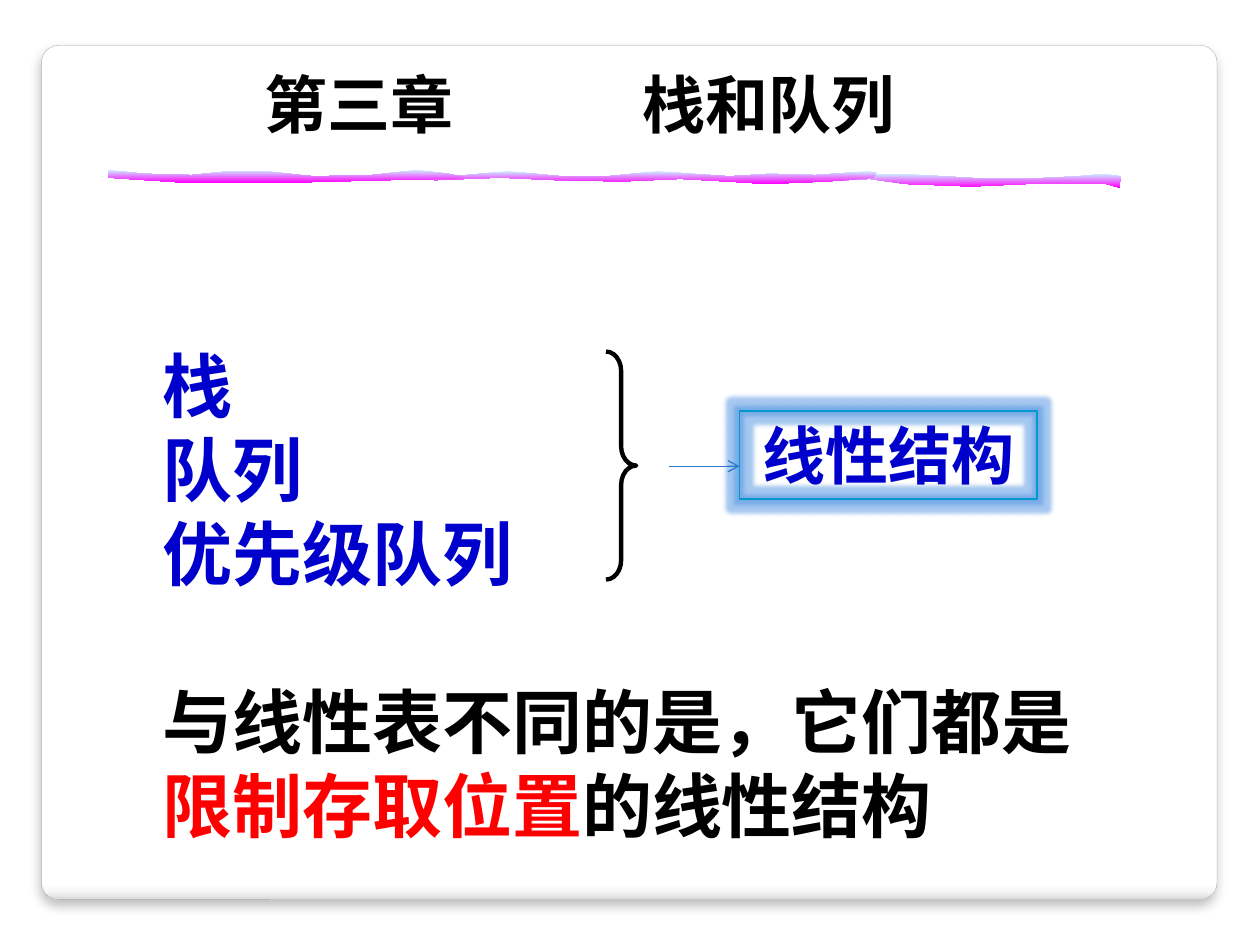
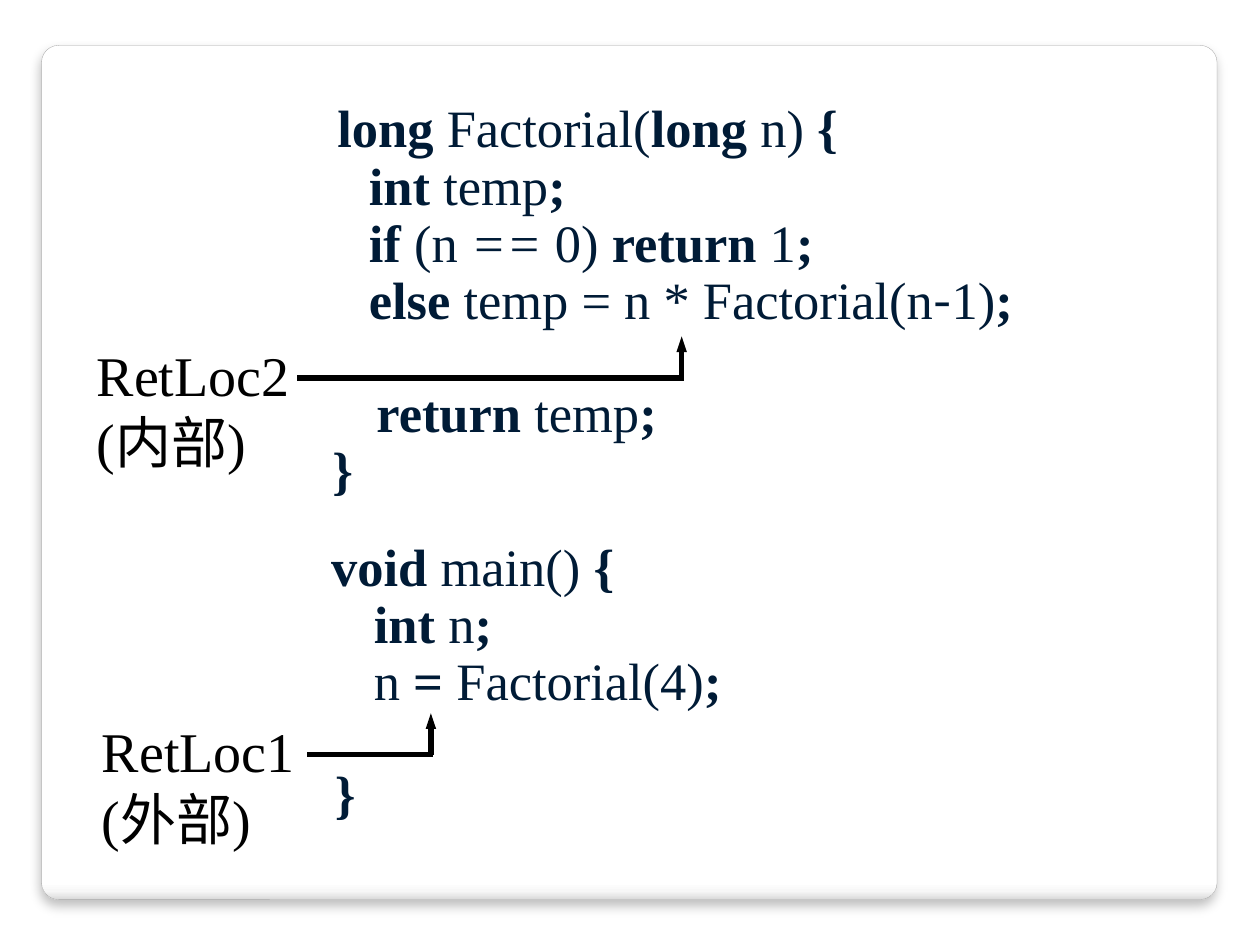
from lxml import etree
from pptx import Presentation
from pptx.dml.color import RGBColor
from pptx.enum.shapes import MSO_CONNECTOR, MSO_SHAPE
from pptx.enum.text import MSO_ANCHOR, MSO_AUTO_SIZE, PP_ALIGN
from pptx.oxml.ns import qn
from pptx.util import Pt

PX = 9144  # 100 px to the inch
STRAIGHT = MSO_CONNECTOR.STRAIGHT
ROUNDED, RECT, BRACE = (MSO_SHAPE.ROUNDED_RECTANGLE, MSO_SHAPE.RECTANGLE,
                        MSO_SHAPE.RIGHT_BRACE)
TITLE_ONLY, BLANK = 5, 6

SERIF = "Times New Roman"
SANS = "DejaVu Sans"
CJK = "Noto Sans CJK SC"

COLORS = {
    "black": "000000", "white": "FFFFFF", "red": "FF0000", "blue": "0000CC",
    "code": "001B36", "panel_line": "A4A4A4", "panel_low": "F7F7F7",
    "panel_edge": "DADADA", "brush_top": "CCECFF", "brush_low": "FF00FF",
    "box_line": "0099CC", "arrow": "2D79CB", "glow": "4A90E2",
}

# Outline points of the three brush strokes, relative to the rule's corner
BRUSH_STROKES = [
    [(587, 4), (627, 3), (664, 5), (697, 7), (728, 7), (769, 5), (790, 3), (804, 5),
     (803, 14), (792, 11), (760, 11), (730, 11), (685, 13), (633, 11), (604, 7), (567, 9)],
    [(610, 2), (607, 6), (571, 9), (523, 11), (490, 9), (454, 7), (408, 9), (355, 8),
     (311, 6), (260, 8), (242, 7), (252, 5), (284, 4), (317, 1), (360, 5), (396, 5),
     (436, 1), (463, 3), (493, 5), (525, 3), (561, 4), (603, 1)],
    [(264, 7), (220, 8), (141, 10), (61, 10), (0, 6), (0, 0), (29, 3), (66, 4),
     (95, 1), (125, 1), (163, 5), (209, 4), (245, 0), (270, 3), (284, 6)],
]

# Each code line: indent in px, space before in pt, (style, text) runs
B, N, I, H = "bold", "normal", "italic", "hyphen"
FACTORIAL_CODE = [
    (225, 0, [(B, "long"), (N, " Factorial("), (B, "long"), (N, " n) "), (B, "{")]),
    (250, 1, [(B, "int"), (N, " temp"), (B, ";")]),
    (250, 0, [(B, "if"), (N, " (n"), (I, " =="), (N, " 0) "), (B, "return"),
              (N, " 1"), (B, ";")]),
    (250, 0, [(B, "else"), (N, " temp = n * Factorial(n"), (H, "-"), (N, "1)"), (B, ";")]),
    (256, 32, [(B, "return"), (N, " temp"), (B, ";")]),
    (221, 0, [(B, "}")]),
]
MAIN_CODE = [
    (207, 0, [(B, "void "), (N, "main()"), (B, " {")]),
    (241, 0, [(B, "int "), (N, "n"), (B, ";")]),
    (241, 0, [(N, "n"), (B, " = "), (N, "Factorial(4)"), (B, ";")]),
    (210, 32, [(B, "}")]),
]


def px(*values):
    return [round(v * PX) for v in values]


def rgb(name):
    return RGBColor.from_string(COLORS[name])


def add_xml(parent, tag, **attrs):
    return etree.SubElement(parent, qn(tag), {k: str(v) for k, v in attrs.items()})


def add_color(parent, name, alpha=None):
    clr = add_xml(parent, "a:srgbClr", val=COLORS[name])
    if alpha is not None:
        add_xml(clr, "a:alpha", val=alpha * 1000)


def set_line(sp, color, width):
    sp.line.color.rgb = rgb(color)
    sp.line.width = Pt(width)


def set_gradient(sp, stops):
    """Fill a shape from top to bottom with (percent, colour) stops."""
    sp.fill.background()
    sp_pr = sp._element.spPr
    grad = etree.Element(qn("a:gradFill"), rotWithShape="1")
    gs_list = add_xml(grad, "a:gsLst")
    for percent, color in stops:
        add_color(add_xml(gs_list, "a:gs", pos=percent * 1000), color)
    add_xml(grad, "a:lin", ang=5400000, scaled=0)
    sp_pr.replace(sp_pr.find(qn("a:noFill")), grad)


def clear_effects(sp):
    sp.shadow.inherit = False
    return sp._element.spPr.find(qn("a:effectLst"))


def format_run(r, size, color, font=SERIF, bold=False, italic=False):
    r.font.size, r.font.name = Pt(size), font
    r.font.bold, r.font.italic = bold, italic
    r.font.color.rgb = rgb(color)
    add_xml(r._r.get_or_add_rPr(), "a:ea", typeface=CJK)


def add_text(p, text, *args, **kwargs):
    r = p.add_run()
    r.text = text
    format_run(r, *args, **kwargs)


def add_textbox(slide, box, margins=(10, 5, 10, 5), wrap=True):
    tf = slide.shapes.add_textbox(*px(*box)).text_frame
    tf.word_wrap = wrap
    (tf.margin_left, tf.margin_top, tf.margin_right, tf.margin_bottom) = px(*margins)
    return tf


def add_paragraph(tf, index, pitch, before=0):
    p = tf.add_paragraph() if index else tf.paragraphs[0]
    p.line_spacing = Pt(pitch)
    p.space_before = Pt(before)
    return p


def add_line(slide, start, end, color, width, head=None):
    cx = slide.shapes.add_connector(STRAIGHT, *px(*start, *end))
    set_line(cx, color, width)
    if head:
        add_xml(cx.line._get_or_add_ln(), "a:tailEnd", **head)
    add_xml(cx._element.spPr, "a:effectLst")


def add_panel(prs, slide, box):
    """Draw the rounded panel and hand it to the master, behind every slide."""
    sp = slide.shapes.add_shape(ROUNDED, *px(*box))
    sp.adjustments[0] = 0.02
    set_gradient(sp, [(0, "white"), (98, "white"), (99, "panel_low"), (100, "panel_edge")])
    set_line(sp, "panel_line", 0.16)
    shadow = add_xml(clear_effects(sp), "a:outerShdw", blurRad=Pt(6), dist=Pt(4),
                     dir=5400000, algn="t", rotWithShape=0)
    add_color(shadow, "black", 25)
    prs.slide_master.shapes._spTree.insert(2, sp._element)


def add_title(slide, text, box, tab_stops):
    sp = slide.shapes.title
    sp.left, sp.top, sp.width, sp.height = px(*box)
    tf = sp.text_frame
    tf.text = text
    tf.auto_size = MSO_AUTO_SIZE.NONE
    tf.vertical_anchor = MSO_ANCHOR.BOTTOM
    tf.margin_bottom = 5 * PX
    p = tf.paragraphs[0]
    p.alignment = PP_ALIGN.LEFT
    tabs = add_xml(p._p.get_or_add_pPr(), "a:tabLst")
    for stop in tab_stops:
        add_xml(tabs, "a:tab", pos=stop * PX, algn="l")
    format_run(p.runs[0], 36, "black", SANS, bold=True)


def add_brush_rule(slide, left, top):
    group = slide.shapes.add_group_shape()
    for stroke in BRUSH_STROKES:
        first, *rest = [px(left + x, top + y) for x, y in stroke]
        builder = group.shapes.build_freeform(*first)
        builder.add_line_segments(rest, close=True)
        sp = builder.convert_to_shape()
        set_gradient(sp, [(0, "brush_top"), (100, "brush_low")])
        sp.line.fill.background()
        clear_effects(sp)


def add_topics(slide, box):
    tf = add_textbox(slide, box, margins=(12, 5, 12, 6))
    for i, topic in enumerate(["栈", "队列", "优先级队列"]):
        add_text(add_paragraph(tf, i, 48), topic, 40, "blue", bold=True)
    p = add_paragraph(tf, 3, 48, before=48)
    for text, color in [("与线性表不同的是，它们都是", "black"),
                        ("限制存取位置", "red"), ("的线性结构", "black")]:
        add_text(p, text, 40, color, bold=True)


def add_structure(slide, left, top):
    """Brace, arrow and glowing box that sum up the topics."""
    brace = slide.shapes.add_shape(BRACE, *px(left, top, 24, 181))
    brace.adjustments[0] = 0.64
    brace.fill.background()
    set_line(brace, "black", 2.5)
    clear_effects(brace)

    sp = slide.shapes.add_shape(RECT, *px(left + 106, top + 47, 236, 70))
    sp.fill.background()
    set_line(sp, "box_line", 1)
    add_color(add_xml(clear_effects(sp), "a:glow", rad=Pt(5)), "glow", 50)
    tf = sp.text_frame
    tf.vertical_anchor = MSO_ANCHOR.MIDDLE
    p = tf.paragraphs[0]
    p.alignment = PP_ALIGN.CENTER
    add_text(p, "线性结构", 36, "blue", CJK, bold=True)

    y = top + 91
    add_line(slide, (left + 50, y), (left + 106, y), "arrow", 0.75, {"type": "arrow"})


def add_code(slide, box, lines, margin_top):
    tf = add_textbox(slide, box, margins=(10, margin_top, 10, 5))
    for i, (indent, before, runs) in enumerate(lines):
        p = add_paragraph(tf, i, 32.5, before)
        p._p.get_or_add_pPr().set("marL", str(indent * PX))
        for style, text in runs:
            add_text(p, text, 30, "code", CJK if style == H else SERIF,
                     bold=style == B, italic=style == I)


def add_return_label(slide, box, name, place):
    tf = add_textbox(slide, box, wrap=False)
    for i, text in enumerate([name, place]):
        add_text(add_paragraph(tf, i, 38.4), text, 32, "black")


def add_return_arrow(slide, left, right, y):
    """Line that runs right from a label, then up to the call."""
    add_line(slide, (right - 2, y), (right - 2, y - 33), "black", 3,
             {"type": "triangle", "w": "sm", "len": "med"})
    add_line(slide, (left, y), (right, y), "black", 3)


def build_chapter_slide(slide):
    add_title(slide, "第三章\t\t栈和队列", (200, 25, 800, 92), (200, 300))
    add_brush_rule(slide, 86, 135)
    add_topics(slide, (117, 267, 775, 412))
    add_structure(slide, 481, 279)


def build_factorial_slide(slide):
    add_code(slide, (33, 69, 883, 334), FACTORIAL_CODE, 11)
    add_code(slide, (46, 425, 804, 235), MAIN_CODE, 4)
    add_return_arrow(slide, 236, 543, 300)
    add_return_arrow(slide, 244, 344, 599)
    add_return_label(slide, (71, 564, 175, 118), "RetLoc1", "(外部)")
    add_return_label(slide, (67, 265, 175, 118), "RetLoc2", "(内部)")


def main():
    prs = Presentation()
    prs.slide_width, prs.slide_height = px(1000, 750)
    chapter = prs.slides.add_slide(prs.slide_layouts[TITLE_ONLY])
    add_panel(prs, chapter, (33, 36, 933, 678))
    build_chapter_slide(chapter)
    build_factorial_slide(prs.slides.add_slide(prs.slide_layouts[BLANK]))
    prs.save("out.pptx")


if __name__ == "__main__":
    main()
